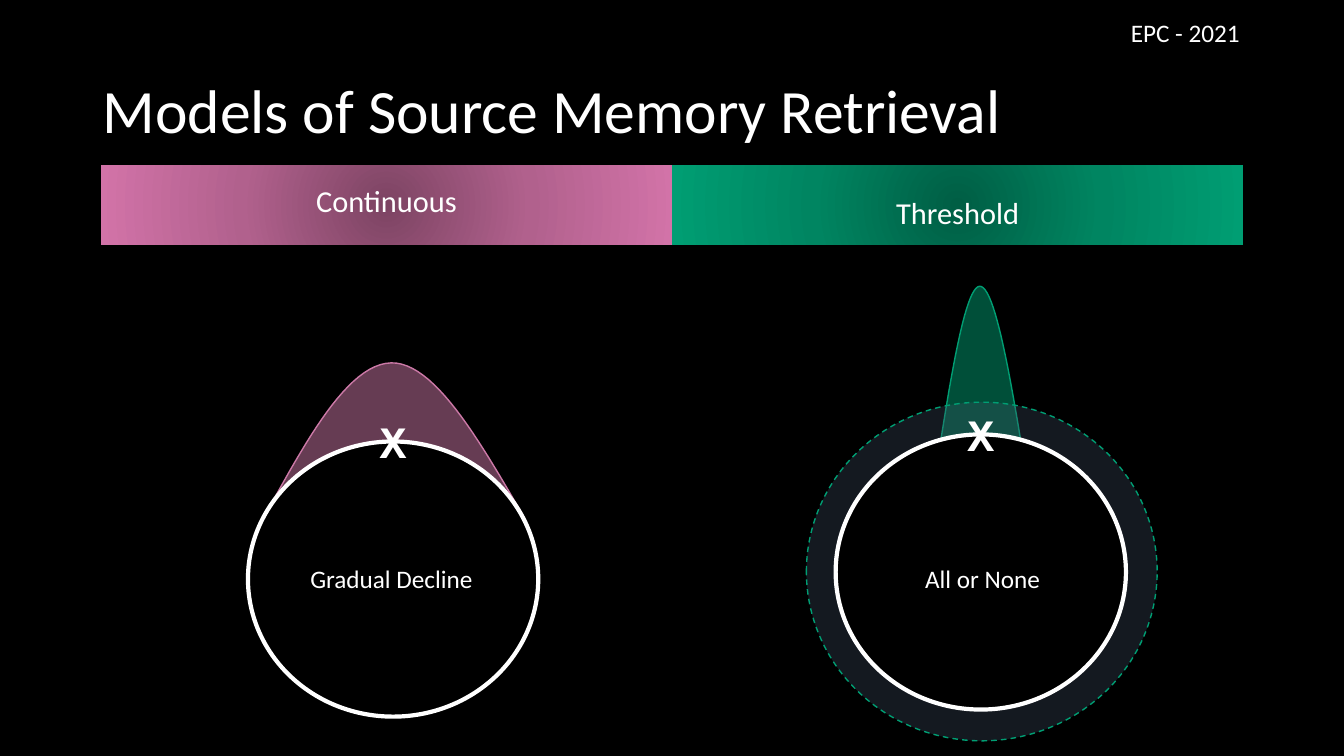
"""Build a slide comparing continuous and threshold models of source memory."""
from dataclasses import dataclass
from typing import Optional

from lxml import etree
from pptx import Presentation
from pptx import util as u
from pptx.dml.color import RGBColor
from pptx.enum import dml, shapes, text
from pptx.oxml import ns

Point = tuple[float, float]
Box = tuple[float, float, float, float]

BLACK = RGBColor(0, 0, 0)
WHITE = RGBColor(255, 255, 255)
PINK = RGBColor(0xCC, 0x79, 0xA7)
GREEN = RGBColor(0x00, 0x9E, 0x73)
SLATE = RGBColor(0x44, 0x54, 0x6A)
PINK_BAND = (RGBColor(0x7D, 0x44, 0x63), RGBColor(0xB1, 0x61, 0x8D), RGBColor(0xD2, 0x73, 0xA8))
GREEN_BAND = (RGBColor(0x00, 0x5E, 0x44), RGBColor(0x00, 0x85, 0x61), GREEN)

BAND_TOP, BAND_WIDTH, BAND_HEIGHT = 118.08, 408, 56.88
RING_WIDTH, RING_HEIGHT = 207.36, 196.56
CURVE_STEPS = 24


@dataclass(frozen=True)
class Model:
    name: str
    band_left: float
    band_colors: tuple[RGBColor, ...]
    band_inset: float
    color: RGBColor
    curve: tuple[Point, ...]
    ring: Point
    mark: Point
    caption: str
    caption_box: Box
    halo: Optional[Box] = None


MODELS = (
    Model("Continuous", 72, PINK_BAND, 3.6, PINK,
          ((187.9, 370.8), (218.2, 315.4), (248.4, 259.9), (279.4, 259.2),
           (309.6, 258.5), (341.3, 312.5), (372.6, 366.5)),
          (177.12, 315.36), (234, 292.32), "Gradual Decline", (214.56, 398.88, 131.76, 28.8)),
    Model("Threshold", 480, GREEN_BAND, 20.4, GREEN,
          ((667.4, 344.2), (678.2, 275), (689, 205.2), (699.8, 204.5),
           (710.6, 203.8), (722.2, 270.7), (733, 338.4)),
          (596.88, 310.32), (653.76, 287.28), "All or None", (653.76, 398.88, 97.92, 28.8),
          (576, 287.28, 250.56, 241.92)),
)


def points(values: Box) -> list[u.Pt]:
    return [u.Pt(value) for value in values]


def write(frame, words: str, *, size: float, font: str = "Calibri", bold: bool = False,
          align=text.PP_ALIGN.LEFT, spacing: Optional[float] = None) -> None:
    para = frame.paragraphs[0]
    para.alignment = align
    para.line_spacing = spacing
    span = para.add_run()
    span.text = words
    span.font.name = font
    span.font.size = u.Pt(size)
    span.font.bold = bold
    span.font.color.rgb = WHITE


def add_label(page, words: str, place: Box, *, wrap: bool = False, **style) -> None:
    frame = page.shapes.add_textbox(*points(place)).text_frame
    frame.word_wrap = wrap
    frame.auto_size = text.MSO_AUTO_SIZE.SHAPE_TO_FIT_TEXT
    write(frame, words, **style)


def paint(shape, fill: RGBColor, line: RGBColor, width: float, alpha: int = 100) -> None:
    shape.shadow.inherit = False
    shape.fill.solid()
    shape.fill.fore_color.rgb = fill
    if alpha < 100:
        color = shape.fill._xPr.find(ns.qn("a:solidFill"))[0]
        etree.SubElement(color, ns.qn("a:alpha"), val=str(alpha * 1000))
    shape.line.color.rgb = line
    shape.line.width = u.Pt(width)


def add_ellipse(page, place: Box):
    return page.shapes.add_shape(shapes.MSO_SHAPE.OVAL, *points(place))


def add_band(page, model: Model) -> None:
    place = (model.band_left, BAND_TOP, BAND_WIDTH, BAND_HEIGHT)
    band = page.shapes.add_shape(shapes.MSO_SHAPE.RECTANGLE, *points(place))
    band.shadow.inherit = False
    band.line.fill.background()
    band.fill.gradient()
    gradient = band.fill._xPr.find(ns.qn("a:gradFill"))
    for child in list(gradient):
        gradient.remove(child)
    stops = etree.SubElement(gradient, ns.qn("a:gsLst"))
    for index, color in enumerate(model.band_colors):
        stop = etree.SubElement(stops, ns.qn("a:gs"), pos=str(index * 50000))
        etree.SubElement(stop, ns.qn("a:srgbClr"), val=str(color))
    circle = etree.SubElement(gradient, ns.qn("a:path"), {"path": "circle"})
    etree.SubElement(circle, ns.qn("a:fillToRect"), {side: "50000" for side in "ltrb"})
    frame = band.text_frame
    frame.margin_top = u.Pt(model.band_inset)
    frame.vertical_anchor = text.MSO_ANCHOR.MIDDLE
    write(frame, model.name, size=21.7, align=text.PP_ALIGN.CENTER, spacing=0.7)


def bezier(controls: tuple[Point, ...], t: float) -> Point:
    weights = ((1 - t) ** 3, 3 * t * (1 - t) ** 2, 3 * t ** 2 * (1 - t), t ** 3)
    x, y = (sum(w * c[axis] for w, c in zip(weights, controls)) for axis in (0, 1))
    return x, y


def add_curve(page, model: Model) -> None:
    outline = [bezier(model.curve[start:start + 4], step / CURVE_STEPS)
               for start in (0, 3) for step in range(1, CURVE_STEPS + 1)]
    start_x, start_y = model.curve[0]
    builder = page.shapes.build_freeform(u.Pt(start_x), u.Pt(start_y))
    builder.add_line_segments([(u.Pt(x), u.Pt(y)) for x, y in outline], close=False)
    paint(builder.convert_to_shape(), model.color, model.color, 1, alpha=50)


def add_model(page, model: Model) -> None:
    add_band(page, model)
    add_curve(page, model)
    if model.halo:
        halo = add_ellipse(page, model.halo)
        paint(halo, SLATE, model.color, 1, alpha=30)
        halo.line.dash_style = dml.MSO_LINE.DASH
    paint(add_ellipse(page, (*model.ring, RING_WIDTH, RING_HEIGHT)), BLACK, WHITE, 3)
    add_label(page, "X", (*model.mark, 93.6, 46.08), wrap=True, size=32,
              font="Courier New", bold=True, align=text.PP_ALIGN.CENTER)
    add_label(page, model.caption, model.caption_box, size=18)


def main() -> None:
    deck = Presentation()
    deck.slide_width, deck.slide_height = u.Pt(960), u.Pt(540)
    page = deck.slides.add_slide(deck.slide_layouts[5])
    page.background.fill.solid()
    page.background.fill.fore_color.rgb = BLACK

    title = page.shapes.title
    title.left, title.top, title.width, title.height = points((66.24, 28.8, 828, 104.4))
    title.text_frame.auto_size = text.MSO_AUTO_SIZE.NONE
    title.text_frame.vertical_anchor = text.MSO_ANCHOR.MIDDLE
    write(title.text_frame, "Models of Source Memory Retrieval", size=44, spacing=0.9)

    add_label(page, "EPC - 2021", (800.64, 8.64, 92.88, 28.8), size=18)
    for model in MODELS:
        add_model(page, model)
    deck.save("out.pptx")


if __name__ == "__main__":
    main()
